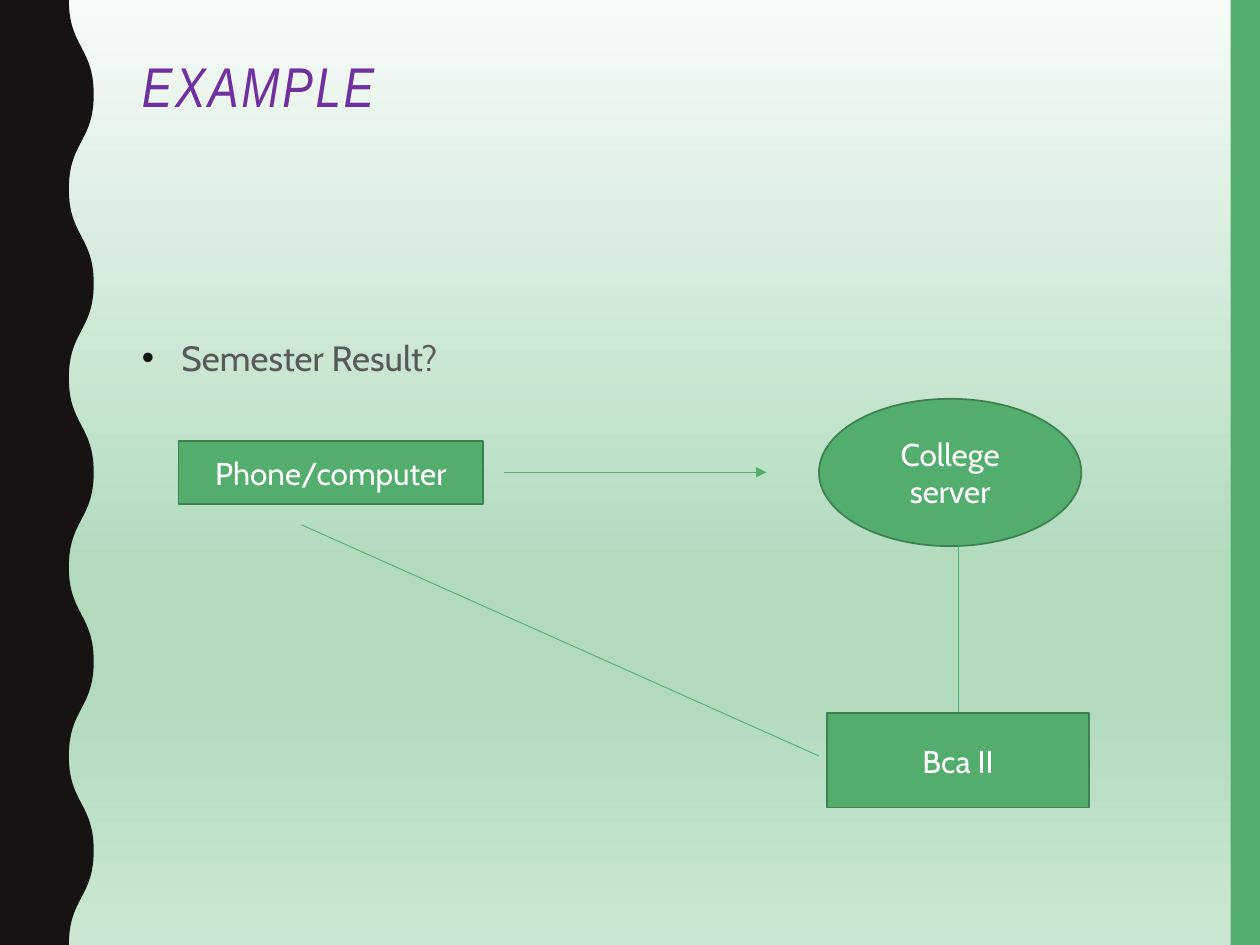
import pptx
import pptx.dml.color
import pptx.enum.shapes
import pptx.enum.text
import pptx.oxml.ns
import pptx.util
from lxml import etree

Cm, Pt = pptx.util.Cm, pptx.util.Pt
RGB = pptx.dml.color.RGBColor.from_string
SHAPES = pptx.enum.shapes.MSO_SHAPE
qn = pptx.oxml.ns.qn

THEME = {
    "green": "53AE6E", "edge": "3D8151", "dark": "171312",
    "purple": "7030A0", "gray": "595959", "white": "FFFFFF",
    "backdrop": [(0, "F6FBF8"), (60, "B2DBBE"), (74, "B2DBBE"), (100, "CBE7D3")],
    "heading_font": "Arial Narrow", "text_font": "Cabin",
    "title_size": 32, "question_size": 20, "node_size": 18,
}
WIDTH, HEIGHT = 25.4, 19.05
BAR_WIDTH = 0.59
WAVE_INNER, WAVE_OUTER, WAVE_COUNT = 1.39, 1.89, 5

TITLE = ("EXAMPLE", (2.61, 1.07, 21.21, 4.14))
QUESTION = ("Semester Result?", (2.61, 6.58, 21.21, 9.98))
QUESTION = (" " + QUESTION[0], QUESTION[1])
NODES = [
    ("Phone/computer", SHAPES.RECTANGLE, (3.6, 8.89, 6.14, 1.27)),
    ("College server", SHAPES.OVAL, (16.51, 8.04, 5.29, 2.97)),
    ("Bca II", SHAPES.RECTANGLE, (16.67, 14.38, 5.29, 1.9)),
]
LINKS = [
    ((10.16, 9.52), (15.45, 9.52), True),
    ((19.32, 10.92), (19.32, 14.73), False),
    ((6.08, 10.58), (16.51, 15.24), False),
]


def lengths(values):
    return [Cm(value) for value in values]


def add_xml(parent, tag, **attributes):
    return etree.SubElement(parent, qn(tag), attributes)


def paint(shape, fill, edge=None):
    shape.shadow.inherit = False
    shape.fill.solid()
    shape.fill.fore_color.rgb = RGB(fill)
    if edge:
        shape.line.color.rgb = RGB(edge)
        shape.line.width = Pt(1)
    else:
        shape.line.fill.background()


def write(shape, text, font, size, color):
    shape.text_frame.word_wrap = True
    paragraph = shape.text_frame.paragraphs[0]
    paragraph.text = text
    paragraph.font.name = font
    paragraph.font.size = Pt(size)
    paragraph.font.color.rgb = RGB(color)
    return paragraph


def paint_backdrop(slide):
    fill = slide.background.fill
    fill.gradient()
    fill.gradient_angle = 270
    stops = next(slide.element.iter(qn("a:gsLst")))
    for stop in list(stops):
        stops.remove(stop)
    for position, color in THEME["backdrop"]:
        stop = add_xml(stops, "a:gs", pos=str(position * 1000))
        add_xml(stop, "a:srgbClr", val=color)


def add_wave(slide):
    half = HEIGHT / WAVE_COUNT / 2
    turns = [(Cm(WAVE_INNER if turn % 2 == 0 else WAVE_OUTER), Cm(turn * half))
             for turn in range(2 * WAVE_COUNT + 1)]
    outline = slide.shapes.build_freeform(*turns[0])
    outline.add_line_segments(turns[1:] + [(0, Cm(HEIGHT)), (0, 0)], close=True)
    wave = outline.convert_to_shape()
    paint(wave, THEME["dark"])
    sides = list(wave._element.iter(qn("a:lnTo")))
    for side, start, end in zip(sides, turns, turns[1:]):
        middle = (start[1] + end[1]) // 2
        curve = etree.Element(qn("a:cubicBezTo"))
        for x, y in ((start[0], middle), (end[0], middle), end):
            add_xml(curve, "a:pt", x=str(int(x)), y=str(int(y)))
        side.getparent().replace(side, curve)


def add_node(slide, label, form, box):
    node = slide.shapes.add_shape(form, *lengths(box))
    paint(node, THEME["green"], THEME["edge"])
    node.text_frame.vertical_anchor = pptx.enum.text.MSO_ANCHOR.MIDDLE
    caption = write(node, label, THEME["text_font"], THEME["node_size"], THEME["white"])
    caption.alignment = pptx.enum.text.PP_ALIGN.CENTER


def add_link(slide, start, end, arrow):
    link = slide.shapes.add_connector(
        pptx.enum.shapes.MSO_CONNECTOR.STRAIGHT, *lengths(start + end))
    link.line.color.rgb = RGB(THEME["green"])
    link.line.width = Pt(0.5)
    if arrow:
        add_xml(link.line._get_or_add_ln(), "a:tailEnd", type="triangle")
    add_xml(link._element.spPr, "a:effectLst")


deck = pptx.Presentation()
deck.slide_width, deck.slide_height = Cm(WIDTH), Cm(HEIGHT)
slide = deck.slides.add_slide(deck.slide_layouts[6])
paint_backdrop(slide)

bar = slide.shapes.add_shape(
    SHAPES.RECTANGLE, *lengths((WIDTH - BAR_WIDTH, 0, BAR_WIDTH, HEIGHT)))
paint(bar, THEME["green"])
add_wave(slide)

title_text, title_box = TITLE
title = write(slide.shapes.add_textbox(*lengths(title_box)), title_text,
              THEME["heading_font"], THEME["title_size"], THEME["purple"])
title.font.italic = True
title.line_spacing = 0.9
title.runs[0].font._element.set("spc", "150")

question_text, question_box = QUESTION
question = write(slide.shapes.add_textbox(*lengths(question_box)), question_text,
                 THEME["text_font"], THEME["question_size"], THEME["gray"])
question.line_spacing = 1.1
question.space_before = Pt(7)
layout = question._p.get_or_add_pPr()
layout.set("marL", str(Cm(0.64)))
layout.set("indent", str(-Cm(0.64)))
bullet_color = etree.Element(qn("a:buClr"))
add_xml(bullet_color, "a:srgbClr", val=THEME["dark"])
bullet_font = etree.Element(qn("a:buFont"), typeface="Arial")
bullet = etree.Element(qn("a:buChar"), char="•")
defaults = layout.find(qn("a:defRPr"))
for part in (bullet_color, bullet_font, bullet):
    defaults.addprevious(part)

for node, link in zip(NODES, LINKS):
    add_node(slide, *node)
    add_link(slide, *link)

deck.save("out.pptx")
